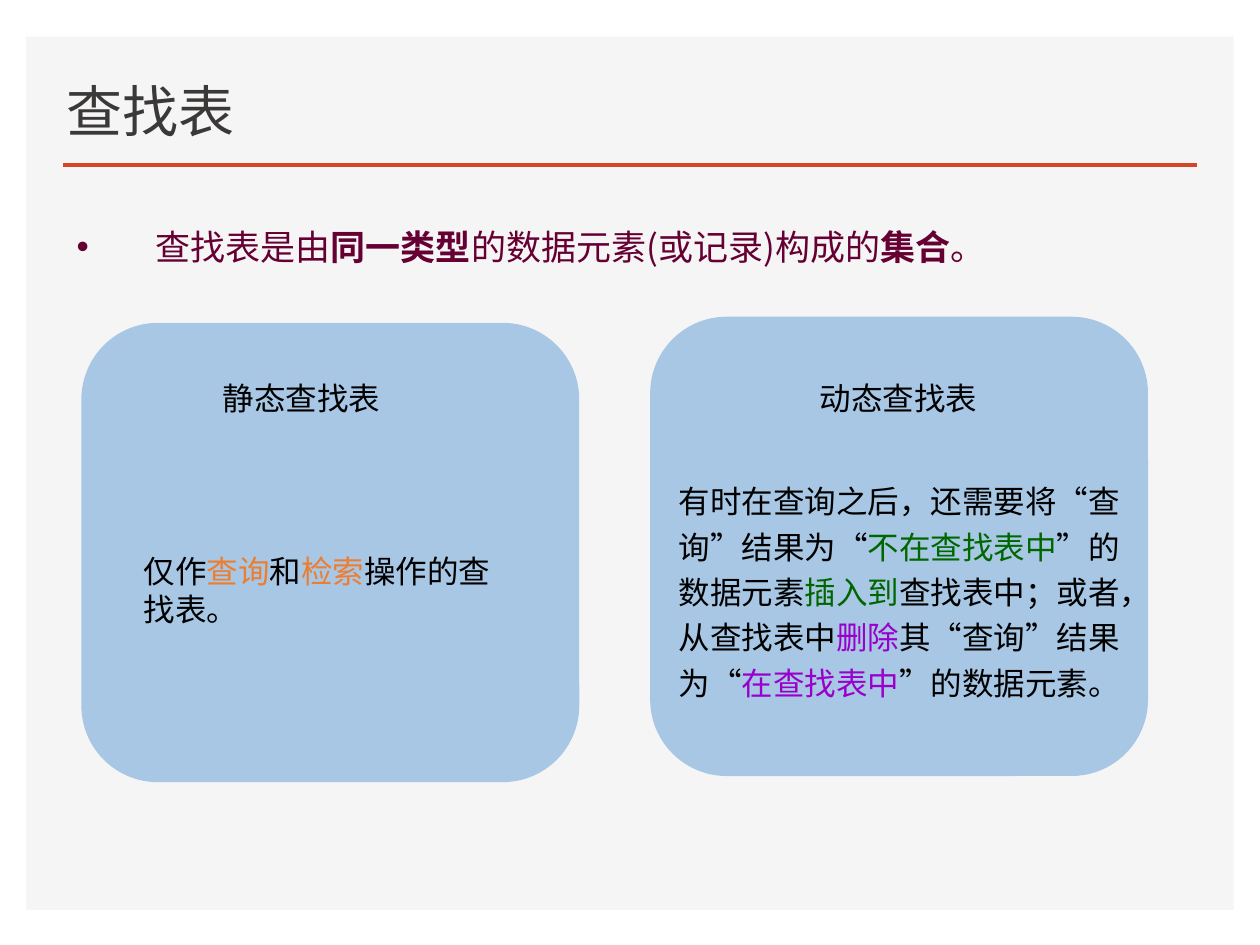
from lxml import etree
from pptx import Presentation
from pptx.dml.color import RGBColor
from pptx.enum import shapes as es, text as et
from pptx.oxml import ns
from pptx.util import Pt

PALE = RGBColor(0xF5, 0xF5, 0xF5)
RED = RGBColor(0xD2, 0x47, 0x26)
BLUE = RGBColor(0x5B, 0x9B, 0xD5)
GREY = RGBColor(0x3B, 0x38, 0x38)
WINE = RGBColor(0x66, 0x00, 0x33)
BLACK = RGBColor(0, 0, 0)
ORANGE = RGBColor(0xED, 0x7D, 0x31)
GREEN = RGBColor(0x00, 0x66, 0x00)
PURPLE = RGBColor(0x99, 0x00, 0xCC)
LATO, NOTO = "Lato", "Noto Sans CJK SC"

deck = Presentation()
deck.slide_width, deck.slide_height = Pt(720), Pt(540)
slide = deck.slides.add_slide(deck.slide_layouts[6])


def add_box(kind, spot, fill):
    box = slide.shapes.add_shape(kind, *map(Pt, spot))
    box.shadow.inherit = False
    box.fill.solid()
    box.fill.fore_color.rgb = fill
    box.line.fill.background()
    return box


def add_text(spot, runs, face, size, wrap=True, space=None):
    """Each run is (words, colour, bold)."""
    frame = slide.shapes.add_textbox(*map(Pt, spot)).text_frame
    frame.word_wrap = wrap
    para = frame.paragraphs[0]
    if space:
        para.line_spacing = space
    for words, color, bold in runs:
        run = para.add_run()
        run.text = words
        run.font.color.rgb = color
        for key, val in {"name": face, "size": Pt(size), "bold": bold}.items():
            setattr(run.font, key, val)
        props = run._r.get_or_add_rPr()
        props.set("lang", "zh-CN")
        east = etree.SubElement(props, ns.qn("a:ea"))
        east.set("typeface", NOTO)
    return frame


# Backdrop panel and title rule
add_box(es.MSO_SHAPE.RECTANGLE, (15, 21, 690, 499), PALE)
rule = slide.shapes.add_connector(
    es.MSO_CONNECTOR.STRAIGHT, Pt(36), Pt(94.3), Pt(684), Pt(94.3))
rule.line.color.rgb = RED
rule.line.width = Pt(2)
etree.SubElement(rule._element.spPr, ns.qn("a:effectLst"))

# Half-clear cards
for left, top in ((371.5, 181), (46.5, 184.5)):
    card = add_box(es.MSO_SHAPE.ROUNDED_RECTANGLE, (left, top, 284.5, 262.5), BLUE)
    tint = card._element.spPr.find(".//" + ns.qn("a:srgbClr"))
    etree.SubElement(tint, ns.qn("a:alpha")).set("val", "50000")

# Title
title = add_text((31, 35.3, 406, 50.4), [("查找表", GREY, False)], LATO, 32)
title.vertical_anchor = et.MSO_ANCHOR.BOTTOM

# Definition with a hanging bullet
lead = add_text((36.7, 116, 635, 37.5), [
    ("查找表是由", WINE, False), ("同一类型", WINE, True),
    ("的数据元素(或记录)构成的", WINE, False),
    ("集合", WINE, True), ("。", WINE, False)], NOTO, 20, space=1.4)
props = lead.paragraphs[0]._p.get_or_add_pPr()
for key, val in {"marL": Pt(45), "indent": -Pt(45)}.items():
    props.set(key, str(int(val)))
etree.SubElement(props, ns.qn("a:buFont")).set("typeface", "Arial")
etree.SubElement(props, ns.qn("a:buChar")).set("char", "•")

# Card headings
for left, head in ((120.2, "静态查找表"), (461.5, "动态查找表")):
    add_text((left, 213, 105, 29), [(head, BLACK, False)], LATO, 18, wrap=False)

# Card bodies
static = [("仅作", BLACK), ("查询", ORANGE), ("和", BLACK),
          ("检索", ORANGE), ("操作的查找表。", BLACK)]
moving = [("有时在查询之后，还需要将“查询”结果为“", BLACK),
          ("不在查找表中", GREEN), ("”的数据元素", BLACK),
          ("插入到", GREEN), ("查找表中；或者，从查找表中", BLACK),
          ("删除", PURPLE), ("其“查询”结果为“", BLACK),
          ("在查找表中", PURPLE), ("”的数据元素。", BLACK)]
for spot, runs, space in (((75, 311.8, 217.5, 51), static, None),
                          ((380.9, 267.8, 278.6, 138), moving, 1.2)):
    add_text(spot, [(*run, False) for run in runs], NOTO, 18, space=space)

deck.save("out.pptx")
